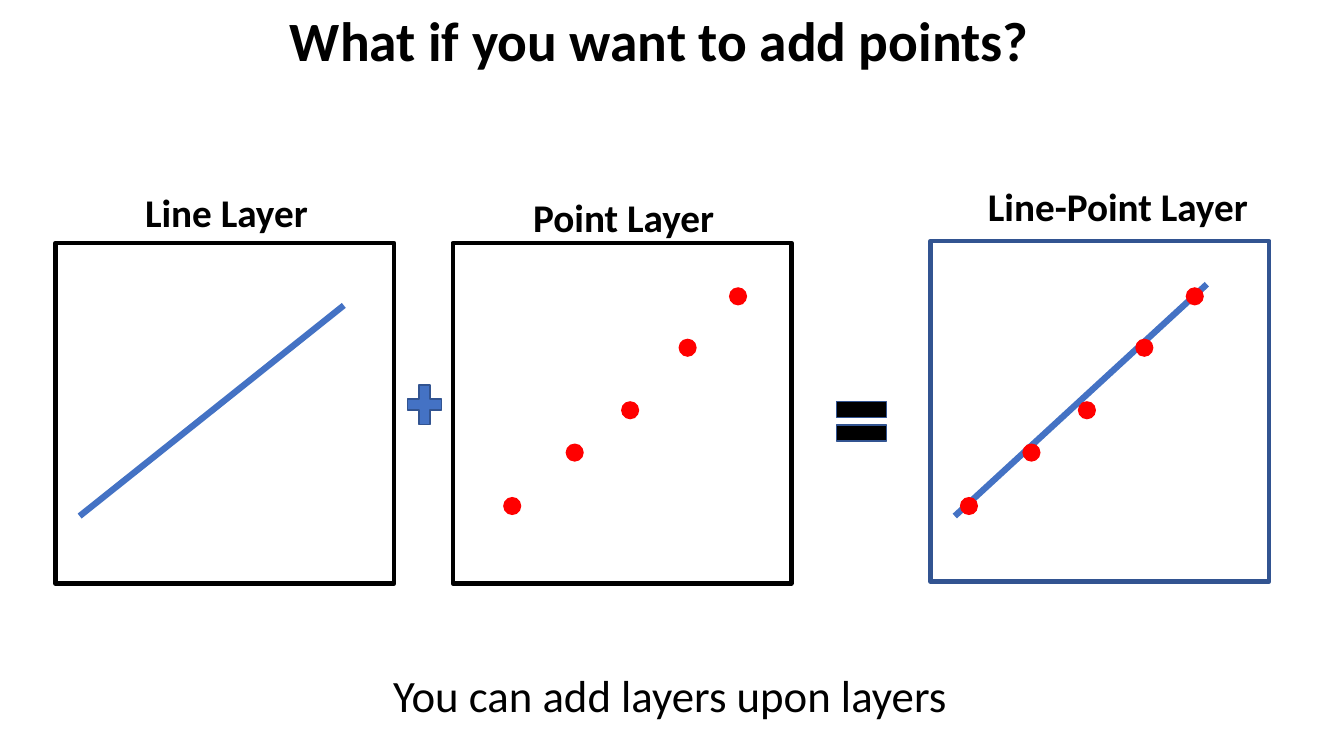
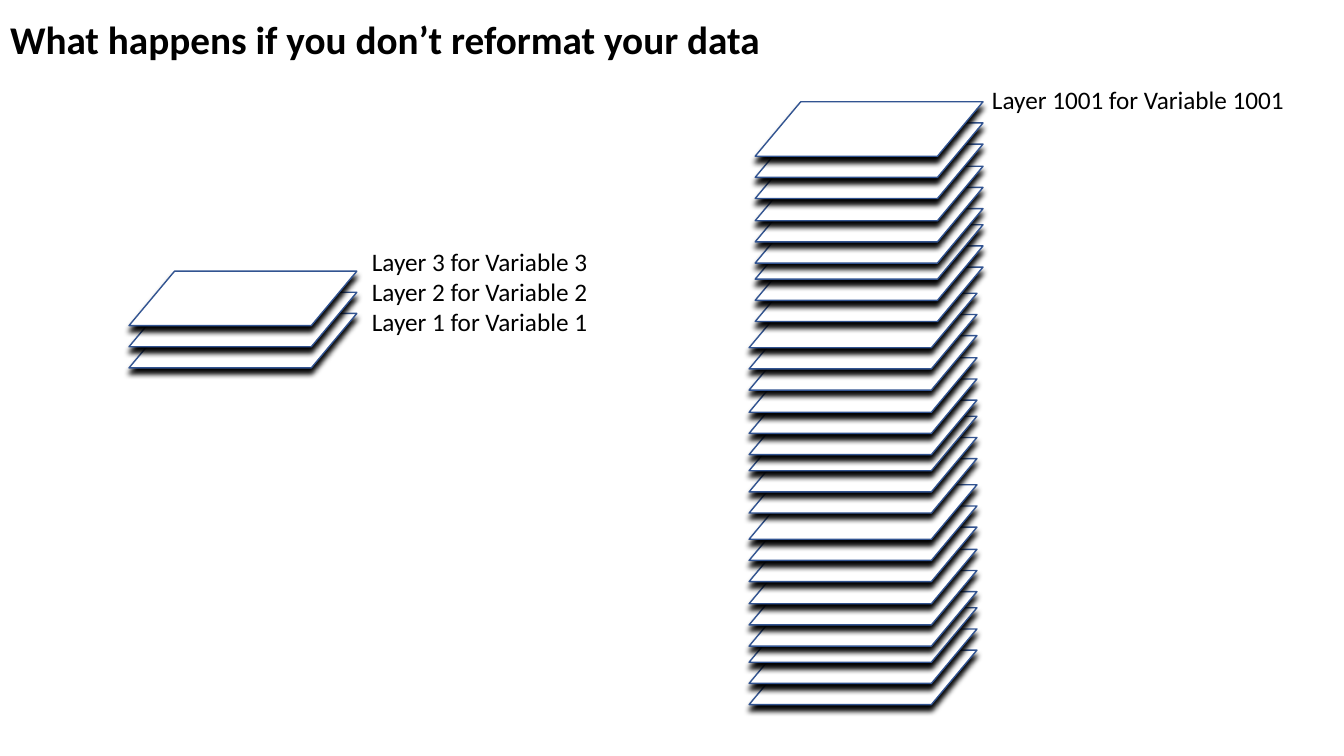
"""Build two slides about combining plot layers."""
from lxml import etree
from pptx import Presentation
from pptx import util as u
from pptx.dml.color import RGBColor
from pptx.enum import shapes, text
from pptx.oxml.ns import qn

BLACK, WHITE, RED = "000000", "FFFFFF", "FF0000"
BLUE, NAVY = "4472C4", "325491"
FONT = "Calibri"
PRESET = shapes.MSO_SHAPE
ALIGN = text.PP_ALIGN
ANCHOR = text.MSO_ANCHOR


def rgb(value):
    """Turn a hex string into a colour."""
    return RGBColor.from_string(value)


class Deck:
    """Hold the shared style and the current slide."""

    def __init__(self):
        """Start an empty widescreen presentation."""
        self.prs = Presentation()
        self.prs.slide_width = u.Inches(13.33)
        self.prs.slide_height = u.Inches(7.5)
        self.slide = None

    def add_slide(self):
        """Add a title-only slide and make it current."""
        self.slide = self.prs.slides.add_slide(self.prs.slide_layouts[5])

    def fill_text(self, frame, words, size, bold, align, anchor):
        """Put one formatted run into a text frame."""
        frame.word_wrap = True
        frame.auto_size = text.MSO_AUTO_SIZE.NONE
        frame.vertical_anchor = anchor
        paragraph = frame.paragraphs[0]
        paragraph.alignment = align
        run = paragraph.add_run()
        run.text = words
        run.font.name = FONT
        run.font.size = u.Pt(size)
        run.font.bold = bold
        run.font.color.rgb = rgb(BLACK)
        return paragraph

    def title(self, words, box, size, align, anchor, spacing=1.0):
        """Move and fill the title placeholder."""
        holder = self.slide.shapes.title
        holder.left, holder.top, holder.width, holder.height = map(u.Inches, box)
        paragraph = self.fill_text(holder.text_frame, words, size, True, align, anchor)
        paragraph.line_spacing = spacing

    def label(self, words, left, top, width, height, size, bold=False):
        """Add a left-aligned text box."""
        box = self.slide.shapes.add_textbox(*map(u.Inches, (left, top, width, height)))
        self.fill_text(box.text_frame, words, size, bold, ALIGN.LEFT, ANCHOR.TOP)

    def shape(self, preset, left, top, width, height, fill, line=None, weight=1):
        """Add a flat preset shape, outlined if a line colour is given."""
        item = self.slide.shapes.add_shape(
            preset, *map(u.Inches, (left, top, width, height)))
        item.fill.solid()
        item.fill.fore_color.rgb = rgb(fill)
        if line:
            item.line.color.rgb = rgb(line)
            item.line.width = u.Pt(weight)
        else:
            item.line.fill.background()
        item.shadow.inherit = False
        return item

    def panel(self, left, top, line):
        """Add a square plot frame."""
        self.shape(PRESET.RECTANGLE, left, top, 3.36, 3.38, WHITE, line, 3)

    def trend(self, x1, y1, x2, y2):
        """Add a thick straight data line."""
        line = self.slide.shapes.add_connector(
            shapes.MSO_CONNECTOR.STRAIGHT, *map(u.Inches, (x1, y1, x2, y2)))
        line.line.color.rgb = rgb(BLUE)
        line.line.width = u.Pt(4.5)
        etree.SubElement(line._element.spPr, qn("a:effectLst"))

    def points(self, places, shift=0):
        """Add red data points, shifted sideways."""
        for left, top in places:
            self.shape(PRESET.OVAL, left + shift, top, 0.18, 0.18, RED)

    def sheet(self, left, top):
        """Add one slanted layer that drops a shadow."""
        item = self.shape(PRESET.FLOWCHART_DATA, left, top, 2.26, 0.54, WHITE, NAVY)
        effects = item._element.spPr.find(qn("a:effectLst"))
        shadow = etree.SubElement(
            effects, qn("a:outerShdw"), blurRad=str(u.Pt(4)), dist=str(u.Pt(4)),
            dir="5400000", algn="t", rotWithShape="0")
        color = etree.SubElement(shadow, qn("a:srgbClr"), val=BLACK)
        etree.SubElement(color, qn("a:alpha"), val="98000")

    def stack(self, left, bottom, rises):
        """Pile sheets upwards from the bottom one."""
        for rise in rises:
            self.sheet(left, bottom - rise)


def add_points_slide(deck):
    """Show a line layer plus a point layer."""
    deck.add_slide()
    deck.title("What if you want to add points?", (0.79, 0.05, 11.5, 0.76),
               39.6, ALIGN.CENTER, ANCHOR.MIDDLE, 0.9)
    places = [(4.99, 4.93), (5.61, 4.4), (6.16, 3.98), (6.73, 3.36), (7.23, 2.85)]

    deck.panel(0.55, 2.41, BLACK)
    deck.trend(0.79, 5.12, 3.41, 3.03)
    deck.panel(4.49, 2.41, BLACK)
    deck.points(places)
    deck.panel(9.23, 2.39, NAVY)
    deck.trend(9.47, 5.12, 11.97, 2.82)
    deck.points(places, 4.53)

    deck.shape(PRESET.MATH_PLUS, 3.98, 3.75, 0.46, 0.53, BLUE, NAVY)
    deck.shape(PRESET.MATH_EQUAL, 8.21, 3.85, 0.67, 0.66, BLACK, NAVY)
    for words, left, top, width in (("Line Layer", 1.34, 1.82, 2.1),
                                    ("Point Layer", 5.19, 1.87, 2.27),
                                    ("Line-Point Layer", 9.7, 1.76, 3.12)):
        deck.label(words, left, top, width, 0.57, 28, True)
    deck.label("You can add layers upon layers", 3.8, 6.58, 6.14, 0.64, 32)


def add_stacks_slide(deck):
    """Compare a short pile of layers with a tall one."""
    deck.add_slide()
    deck.title("What happens if you don’t reformat your data", (0, 0.1, 10.42, 0.57),
               28, ALIGN.LEFT, ANCHOR.TOP)
    trio = [0, 0.21, 0.42]
    block = [start + rise for start in (0, 0.58, 1.22) for rise in trio]

    for number in (1, 2, 3):
        deck.label(f"Layer {number} for Variable {number}",
                   3.59, 3.29 - 0.3 * number, 2.6, 0.4, 18)
    deck.stack(1.28, 3.11, trio)
    for left, bottom in ((7.43, 6.45), (7.43, 4.55), (7.49, 2.65)):
        deck.stack(left, bottom, block)
    deck.label("Layer 1001 for Variable 1001", 9.74, 0.79, 3.39, 0.4, 18)


def main():
    """Build and save the presentation."""
    deck = Deck()
    add_points_slide(deck)
    add_stacks_slide(deck)
    deck.prs.save("out.pptx")


if __name__ == "__main__":
    main()
